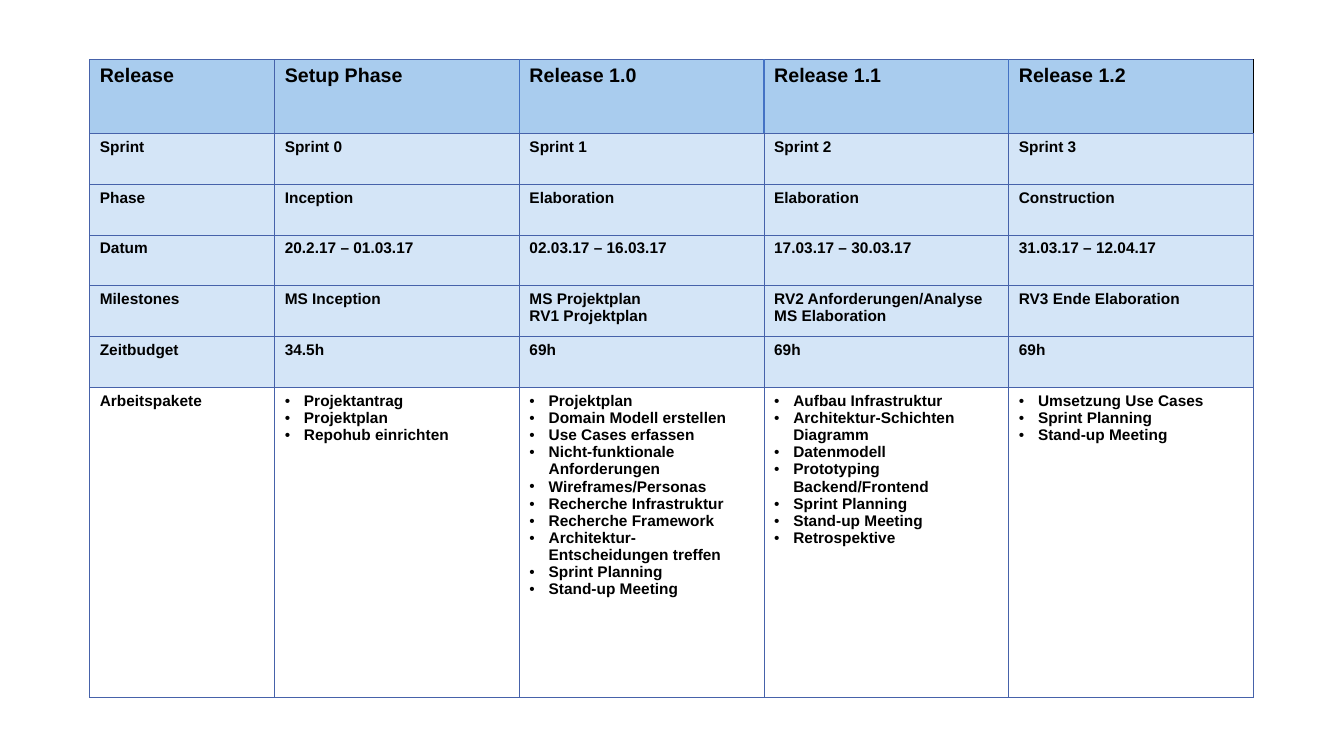
"""Build the release plan slide: one table of releases, sprints and work packages."""
from lxml.etree import SubElement
from pptx import Presentation
from pptx.dml.color import RGBColor
from pptx.oxml.ns import qn
from pptx.util import Inches, Pt

HEADER_FILL, INFO_FILL, PACKAGE_FILL = "A9CCEE", "D4E5F7", "FFFFFF"
GRID, HEADER_GRID, TEXT = "4662AA", "4472C4", "000000"
COLUMNS = [132.1] + [174.75] * 4
ROWS = [52.8] + [36.3] * 5 + [221.4]
INDENT = Inches(0.19)

PLAN = [
    ["Release", "Setup Phase", "Release 1.0", "Release 1.1", "Release 1.2"],
    ["Sprint", "Sprint 0", "Sprint 1", "Sprint 2", "Sprint 3"],
    ["Phase", "Inception", "Elaboration", "Elaboration", "Construction"],
    ["Datum", "20.2.17 – 01.03.17", "02.03.17 – 16.03.17",
     "17.03.17 – 30.03.17", "31.03.17 – 12.04.17"],
    ["Milestones", "MS Inception", "MS Projektplan\nRV1 Projektplan",
     "RV2 Anforderungen/Analyse\nMS Elaboration", "RV3 Ende Elaboration"],
    ["Zeitbudget", "34.5h", "69h", "69h", "69h"],
    ["Arbeitspakete",
     "Projektantrag\nProjektplan\nRepohub einrichten",
     "Projektplan\nDomain Modell erstellen\nUse Cases erfassen\n"
     "Nicht-funktionale Anforderungen\nWireframes/Personas\n"
     "Recherche Infrastruktur\nRecherche Framework\n"
     "Architektur-Entscheidungen treffen\nSprint Planning\nStand-up Meeting",
     "Aufbau Infrastruktur\nArchitektur-Schichten Diagramm\nDatenmodell\n"
     "Prototyping Backend/Frontend\nSprint Planning\nStand-up Meeting\nRetrospektive",
     "Umsetzung Use Cases\nSprint Planning\nStand-up Meeting"],
]


def rgb(value):
    return RGBColor.from_string(value)


def add_border(cell, side, color, width):
    ln = SubElement(cell._tc.get_or_add_tcPr(), qn(f"a:ln{side}"), w=str(Pt(width)))
    SubElement(SubElement(ln, qn("a:solidFill")), qn("a:srgbClr"), val=color)


prs = Presentation()
prs.slide_width, prs.slide_height = Inches(13.33), Inches(7.5)
s = prs.slides.add_slide(prs.slide_layouts[6])

table = s.shapes.add_table(len(ROWS), len(COLUMNS), Inches(0.89), Inches(0.59),
                           Pt(sum(COLUMNS)), Pt(sum(ROWS))).table
table.first_row = table.horz_banding = False
for column, width in zip(table.columns, COLUMNS):
    column.width = Pt(width)
for row, height in zip(table.rows, ROWS):
    row.height = Pt(height)

last_row, last_col = len(ROWS) - 1, len(COLUMNS) - 1
for i, texts in enumerate(PLAN):
    for j, text in enumerate(texts):
        cell = table.cell(i, j)
        left = right = (GRID, 0.75)
        if i == 0 and j > 1:
            left = (HEADER_GRID, 1)
        if i == 0 and j > 0:
            right = (HEADER_GRID, 1) if j < last_col else (TEXT, 1)
        borders = {"L": left, "R": right, "T": (GRID, 0.75), "B": (GRID, 0.75)}
        for side, (color, width) in borders.items():
            add_border(cell, side, color, width)

        fill = HEADER_FILL if i == 0 else PACKAGE_FILL if i == last_row else INFO_FILL
        cell.fill.solid()
        cell.fill.fore_color.rgb = rgb(fill)
        cell.text_frame.text = text
        for p in cell.text_frame.paragraphs:
            font = p.runs[0].font
            font.name, font.bold = "Arial", True
            font.size = Pt(14 if i == 0 else 11)
            font.color.rgb = rgb(TEXT)
            if i == last_row and j > 0:
                pPr = p._p.get_or_add_pPr()
                pPr.set("marL", str(INDENT))
                pPr.set("indent", str(-INDENT))
                SubElement(pPr, qn("a:buFont"), typeface="Arial")
                SubElement(pPr, qn("a:buChar"), char="•")

prs.save("out.pptx")
